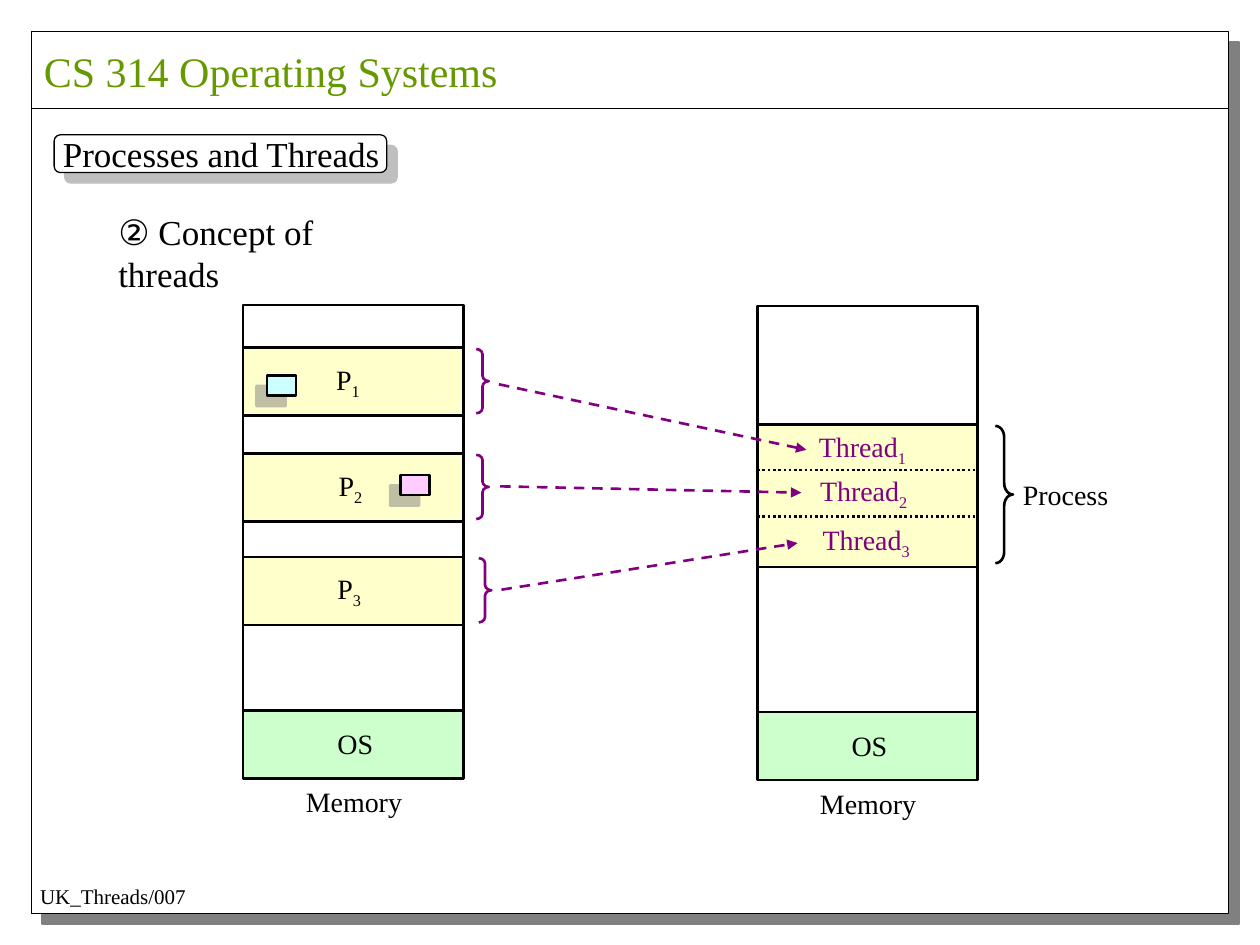
from typing import NamedTuple, Optional

from lxml import etree
from pptx import Presentation
from pptx import util as u
from pptx.dml.color import RGBColor
from pptx.enum import dml, shapes, text
from pptx.oxml.ns import qn

COLORS = {
    "black": "000000", "white": "FFFFFF", "gray": "808080", "title": "669900",
    "purple": "800080", "process": "FFFFCC", "os": "CCFFCC",
    "pink": "FFCCFF", "cyan": "CCFFFF",
}
SERIF = "Times New Roman"
MEMORY_WIDTH, MEMORY_HEIGHT, BLOCK_HEIGHT = 1.75, 3.75, 0.54


class Shadow(NamedTuple):
    opacity: int
    angle: int


class Label(NamedTuple):
    left: float
    top: float
    width: float
    height: float
    words: str
    size: int = 16
    color: str = "black"
    subscript: str = ""
    symbol: str = ""
    wrap: bool = False
    right_inset: float = 0.05


class Block(NamedTuple):
    left: float
    top: float
    width: float
    height: float
    fill: str
    weight: float = 1.5
    shadow: Optional[Shadow] = None
    rounded: bool = False


class Brace(NamedTuple):
    left: float
    top: float
    width: float
    height: float
    color: str
    curl: float


class Line(NamedTuple):
    x1: float
    y1: float
    x2: float
    y2: float
    color: str = "black"
    weight: float = 1.5
    dash: Optional[dml.MSO_LINE] = None
    arrow: bool = False


def rgb(name: str) -> RGBColor:
    return RGBColor.from_string(COLORS[name])


def set_line(line, color: str, weight: float) -> None:
    line.color.rgb = rgb(color)
    line.width = u.Pt(weight)


def draw_block(page, block: Block) -> None:
    kind = shapes.MSO_SHAPE.ROUNDED_RECTANGLE if block.rounded else shapes.MSO_SHAPE.RECTANGLE
    box = page.shapes.add_shape(kind, *map(u.Inches, block[:4]))
    box.fill.solid()
    box.fill.fore_color.rgb = rgb(block.fill)
    set_line(box.line, "black", block.weight)
    box.shadow.inherit = False
    if block.shadow:
        effects = box._element.spPr.find(qn("a:effectLst"))
        outer = etree.SubElement(effects, qn("a:outerShdw"), blurRad="0", dist=str(u.Pt(8.5)),
                                 dir=str(block.shadow.angle * 60000), algn="ctr", rotWithShape="0")
        tint = etree.SubElement(outer, qn("a:srgbClr"), val=COLORS["gray"])
        etree.SubElement(tint, qn("a:alpha"), val=str(block.shadow.opacity * 1000))


def draw_label(page, label: Label) -> None:
    box = page.shapes.add_textbox(*map(u.Inches, label[:4]))
    frame = box.text_frame
    layout = {
        "word_wrap": label.wrap, "auto_size": text.MSO_AUTO_SIZE.SHAPE_TO_FIT_TEXT,
        "margin_left": u.Inches(0.1), "margin_right": u.Inches(label.right_inset),
        "margin_top": u.Inches(0.05), "margin_bottom": u.Inches(0.05),
    }
    for name, value in layout.items():
        setattr(frame, name, value)
    para = frame.paragraphs[0]
    parts = ((label.symbol, "Arial"), (label.words, SERIF), (label.subscript, SERIF))
    for words, face in parts:
        if words:
            span = para.add_run()
            span.text = words
            for name, value in {"name": face, "size": u.Pt(label.size)}.items():
                setattr(span.font, name, value)
            span.font.color.rgb = rgb(label.color)
    if label.subscript:
        span._r.get_or_add_rPr().set("baseline", "-25000")


def draw_brace(page, brace: Brace) -> None:
    shape = page.shapes.add_shape(shapes.MSO_SHAPE.RIGHT_BRACE, *map(u.Inches, brace[:4]))
    shape.adjustments[0] = brace.curl
    shape.fill.background()
    set_line(shape.line, brace.color, 1.5)
    shape.shadow.inherit = False


def draw_line(page, line: Line) -> None:
    connector = page.shapes.add_connector(shapes.MSO_CONNECTOR.STRAIGHT, *map(u.Inches, line[:4]))
    set_line(connector.line, line.color, line.weight)
    if line.dash:
        connector.line.dash_style = line.dash
    if line.arrow:
        etree.SubElement(connector.line._get_or_add_ln(), qn("a:tailEnd"), type="triangle")
    etree.SubElement(connector._element.spPr, qn("a:effectLst"))


def draw_memory(page, left: float, top: float) -> None:
    os_top = top + 3.22
    draw_block(page, Block(left, top, MEMORY_WIDTH, MEMORY_HEIGHT, "white"))
    draw_label(page, Label(left + 0.4, top + MEMORY_HEIGHT + 0.01, 0.96, 0.37, "Memory"))
    draw_block(page, Block(left, os_top, MEMORY_WIDTH, BLOCK_HEIGHT, "os"))
    draw_label(page, Label(left + 0.65, os_top + 0.08, 0.48, 0.37, "OS"))


def main() -> None:
    deck = Presentation()
    deck.slide_width, deck.slide_height = u.Inches(10), u.Inches(7.5)
    page = deck.slides.add_slide(deck.slide_layouts[6])

    # Frame and headings
    draw_block(page, Block(0.25, 0.25, 9.5, 7, "white", 0.75, Shadow(100, 45)))
    draw_line(page, Line(0.25, 0.86, 9.75, 0.86, weight=0.75))
    draw_label(page, Label(0.25, 0.31, 3.8, 0.5, "CS 314 Operating Systems", 24, "title"))
    draw_block(page, Block(0.43, 1.07, 2.64, 0.3, "white", 0.75, Shadow(50, 45), True))
    draw_label(page, Label(0.4, 1, 2.72, 0.44, "Processes and Threads", 20))
    draw_label(page, Label(0.84, 1.62, 2.62, 0.44, " Concept of threads", 20,
                           symbol="②", wrap=True, right_inset=0.4))

    # Memory with three processes
    draw_memory(page, 1.93, 2.42)
    for number, (top, label_left) in enumerate(((2.76, 2.57), (3.6, 2.59), (4.42, 2.58)), 1):
        draw_block(page, Block(1.93, top, MEMORY_WIDTH, BLOCK_HEIGHT, "process"))
        draw_label(page, Label(label_left, top + 0.07, 0.4, 0.41, "P",
                               subscript=str(number), wrap=True))
    for left, top, fill in ((3.18, 3.77, "pink"), (2.12, 2.98, "cyan")):
        draw_block(page, Block(left, top, 0.23, 0.16, fill, shadow=Shadow(50, 135)))

    # Memory with one process of three threads
    draw_memory(page, 6.01, 2.43)
    draw_block(page, Block(6.01, 3.37, MEMORY_WIDTH, 1.13, "process"))
    for y in (3.73, 4.1):
        draw_line(page, Line(6.01, y, 7.77, y, dash=dml.MSO_LINE.ROUND_DOT))
    for number, (left, top) in enumerate(((6.4, 3.36), (6.41, 3.71), (6.43, 4.1)), 1):
        draw_label(page, Label(left, top, 0.98, 0.41, "Thread", color="purple",
                               subscript=str(number), wrap=True))
    draw_brace(page, Brace(7.9, 3.38, 0.14, 1.09, "black", 0.64))
    draw_label(page, Label(8.02, 3.74, 0.87, 0.37, "Process"))

    # Each process becomes a thread
    for left, top in ((3.78, 2.77), (3.78, 3.61), (3.8, 4.43)):
        draw_brace(page, Brace(left, top, 0.1, 0.51, "purple", 0.42))
    for ends in ((3.96, 3.05, 6.4, 3.57), (3.97, 3.86, 6.36, 3.91), (3.98, 4.68, 6.33, 4.31)):
        draw_line(page, Line(*ends, "purple", dash=dml.MSO_LINE.DASH, arrow=True))

    # Footer
    draw_label(page, Label(0.22, 6.96, 1.35, 0.3, "UK_Threads/007", 12))
    deck.save("out.pptx")


if __name__ == "__main__":
    main()
